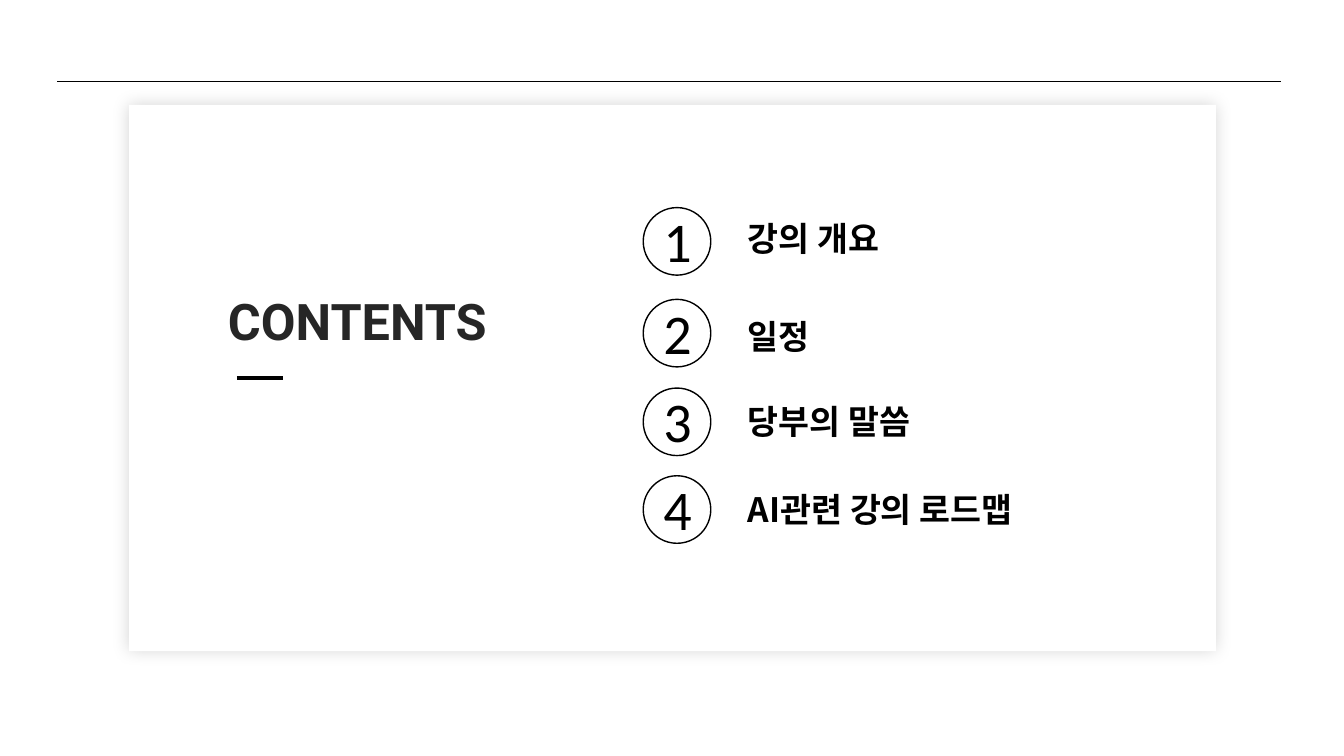
from lxml.etree import SubElement
from pptx import Presentation
from pptx.dml.color import RGBColor
from pptx.enum.shapes import MSO_CONNECTOR, MSO_SHAPE
from pptx.enum.text import MSO_ANCHOR, MSO_AUTO_SIZE, PP_ALIGN
from pptx.oxml.ns import qn
from pptx.util import Inches, Pt

BLACK = RGBColor(0x00, 0x00, 0x00)
CHARCOAL = RGBColor(0x26, 0x26, 0x26)
WHITE = RGBColor(0xFF, 0xFF, 0xFF)

TITLE = {"name": "Roboto", "size": Pt(36), "bold": True}
NUMBER = {"name": "Calibri", "size": Pt(40), "bold": False}
TOPIC = {"name": "Noto Sans CJK KR", "size": Pt(24), "bold": True}

GROWING = {"auto_size": MSO_AUTO_SIZE.SHAPE_TO_FIT_TEXT}
UNPADDED = {"margin_left": 0, "margin_right": 0, "margin_top": 0, "margin_bottom": 0}
BOTTOM = {"vertical_anchor": MSO_ANCHOR.BOTTOM}

ITEMS = [
    ("강의 개요", 2.06, 2.19),
    ("일정", 2.97, 3.16),
    ("당부의 말씀", 3.85, 4.01),
    ("AI관련 강의 로드맵", 4.72, 4.88),
]


class ContentsPage:
    """Draws the elements of a contents page in one style."""

    def __init__(self, page):
        self.page = page

    def rule(self, left, right, top, weight):
        ends = [Inches(value) for value in (left, top, right, top)]
        line = self.page.shapes.add_connector(MSO_CONNECTOR.STRAIGHT, *ends)
        line.line.color.rgb = BLACK
        line.line.width = Pt(weight)
        SubElement(line._element.spPr, qn("a:effectLst"))

    def card(self, *place):
        card = self.page.shapes.add_shape(MSO_SHAPE.RECTANGLE, *map(Inches, place))
        card.fill.solid()
        card.fill.fore_color.rgb = WHITE
        card.line.fill.background()
        card.shadow.inherit = False
        effects = card._element.spPr.find(qn("a:effectLst"))
        glow = SubElement(effects, qn("a:outerShdw"), blurRad=str(Pt(12)), dist="0",
                          dir="0", algn="ctr", rotWithShape="0")
        color = SubElement(glow, qn("a:srgbClr"), val=str(BLACK))
        SubElement(color, qn("a:alpha"), val="17000")

    def text(self, words, place, style, frame_format, color=BLACK,
             align=PP_ALIGN.LEFT, shapes=None):
        shapes = shapes or self.page.shapes
        frame = shapes.add_textbox(*map(Inches, place)).text_frame
        for name, value in {"word_wrap": True, **frame_format}.items():
            setattr(frame, name, value)
        para = frame.paragraphs[0]
        para.alignment = align
        span = para.add_run()
        span.text = words
        for name, value in style.items():
            setattr(span.font, name, value)
        span.font.color.rgb = color
        SubElement(span._r.get_or_add_rPr(), qn("a:ea"), typeface=style["name"])

    def badge(self, number, top):
        group = self.page.shapes.add_group_shape()
        place = [Inches(value) for value in (6.38, top, 0.67, 0.67)]
        circle = group.shapes.add_shape(MSO_SHAPE.OVAL, *place)
        circle.fill.background()
        circle.line.color.rgb = BLACK
        circle.line.width = Pt(1)
        circle.shadow.inherit = False
        self.text(str(number), (6.48, top - 0.06, 0.72, 0.77), NUMBER, GROWING,
                  shapes=group.shapes)


def main():
    deck = Presentation()
    deck.slide_width = Inches(13.33)
    deck.slide_height = Inches(7.5)
    contents = ContentsPage(deck.slides.add_slide(deck.slide_layouts[6]))

    contents.rule(0.57, 12.71, 0.81, 0.5)
    contents.card(1.28, 1.04, 10.78, 5.42)
    contents.rule(2.35, 2.81, 3.75, 3)
    contents.text("CONTENTS", (1.56, 2.88, 3.97, 0.61), TITLE,
                  {**GROWING, **UNPADDED}, CHARCOAL, PP_ALIGN.CENTER)
    for number, (topic, badge_top, topic_top) in enumerate(ITEMS, start=1):
        contents.badge(number, badge_top)
        contents.text(topic, (7.32, topic_top, 4.68, 0.42), TOPIC, BOTTOM)

    deck.save("out.pptx")


if __name__ == "__main__":
    main()
